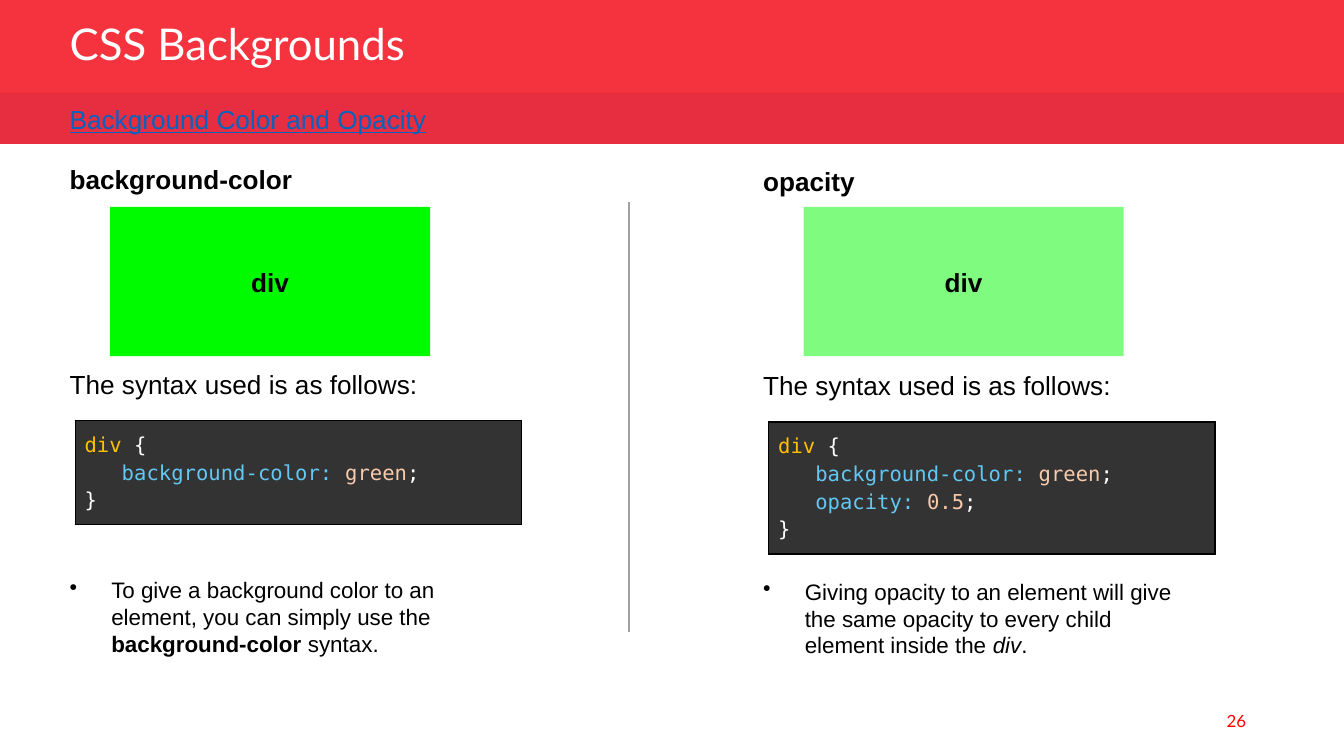
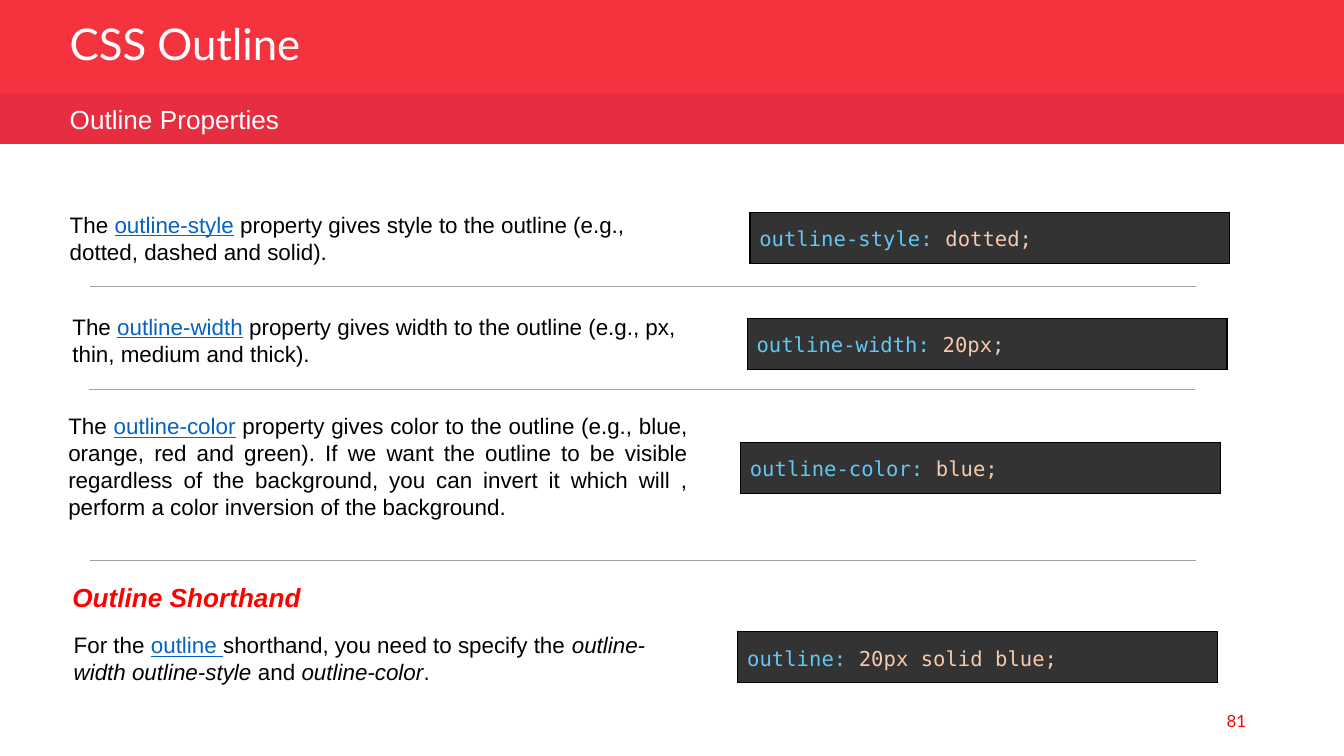
import dataclasses

import pptx
import pptx.dml.color
import pptx.enum.shapes
import pptx.enum.text
import pptx.oxml
import pptx.oxml.ns
import pptx.util
from pptx.util import Inches

ALIGN = pptx.enum.text.PP_ALIGN
ANCHOR = pptx.enum.text.MSO_ANCHOR
qn = pptx.oxml.ns.qn


@dataclasses.dataclass(frozen=True)
class Theme:
    band: str = "F5333F"
    subband: str = "E72D40"
    white: str = "FFFFFF"
    black: str = "000000"
    accent: str = "FF0000"
    link: str = "0563C1"
    rule: str = "A1A1A1"
    green: str = "00FA00"
    code_fill: str = "333333"
    selector: str = "FFC000"
    prop: str = "62C8F3"
    value: str = "F7CAAC"
    body_font: str = "Arial"
    title_font: str = "Lato"
    code_font: str = "DejaVu Sans Mono"
    title_size: float = 23.4
    heading_size: float = 14
    body_size: float = 12
    code_size: float = 11
    number_size: float = 9
    line_width: float = 0.75


T = Theme()

STYLES = {
    "link": {"color": T.link, "underline": True},
    "bold": {"bold": True},
    "italic": {"italic": True},
    "selector": {"color": T.selector},
    "prop": {"color": T.prop},
    "value": {"color": T.value},
}

OPEN = [("div", "selector"), " { "]
GREEN = [("   background-color: ", "prop"), ("green", "value"), ";"]
HALF = [("   opacity: ", "prop"), ("0.5", "value"), ";"]
CLOSE = ["}"]

BACKGROUNDS = [
    {"heading": "background-color", "heading_width": 2.2, "syntax_width": 3.26,
     "alpha": None, "code": [OPEN, GREEN, CLOSE], "code_height": 0.76,
     "note": ["To give a background color to an element, you can simply use the ",
              ("background-color ", "bold"), "syntax."]},
    {"heading": "opacity", "heading_width": 0.92, "syntax_width": 3.47,
     "alpha": 50, "code": [OPEN, GREEN, HALF, CLOSE], "code_height": 0.97,
     "note": ["Giving opacity to an element will give the same opacity to every "
              "child element inside the ", ("div", "italic"), "."]},
]

OUTLINES = [
    {"text": ["The ", ("outline-style", "link"),
              " property gives style to the outline (e.g., dotted, dashed and solid)."],
     "text_at": (0.42, 1.52), "height": 0.5, "align": ALIGN.LEFT,
     "code": ("outline-style: ", "dotted;"), "code_at": (5.58, 1.58)},
    {"text": ["The ", ("outline-width", "link"),
              " property gives width to the outline (e.g., px, thin, medium and thick)."],
     "text_at": (0.44, 2.28), "height": 0.5, "align": ALIGN.LEFT,
     "code": ("outline-width: ", "20px;"), "code_at": (5.56, 2.37)},
    {"text": ["The ", ("outline-color", "link"),
              " property gives color to the outline (e.g., blue, orange, red and green). "
              "If we want the outline to be visible regardless of the background, you can "
              "invert it which will , perform a color inversion of the background."],
     "text_at": (0.41, 3.02), "height": 0.91, "align": ALIGN.JUSTIFY,
     "code": ("outline-color: ", "blue;"), "code_at": (5.51, 3.29)},
    {"text": ["For the ", ("outline ", "link"), "shorthand, you need to specify the ",
              ("outline-width outline-style ", "italic"), "and ",
              ("outline-color", "italic"), "."],
     "text_at": (0.45, 4.65), "height": 0.5, "align": ALIGN.LEFT,
     "code": ("outline: ", "20px solid blue;"), "code_at": (5.49, 4.7)},
]
OUTLINE_RULES = [(0.67, 2.13), (0.66, 2.9), (0.67, 4.17)]


def rgb(color):
    return pptx.dml.color.RGBColor.from_string(color)


def write(tf, paragraphs, size=T.body_size, font=T.body_font, color=T.black, bold=False,
          italic=False, align=ALIGN.LEFT, spacing=None, bullet=False):
    base = {"color": color, "bold": bold, "italic": italic, "underline": False}
    for i, runs in enumerate(paragraphs):
        p = tf.paragraphs[0] if i == 0 else tf.add_paragraph()
        p.alignment = align
        if spacing:
            p.line_spacing = spacing
        if bullet:
            add_bullet(p)
        for run in runs:
            text, style = (run, {}) if isinstance(run, str) else (run[0], STYLES[run[1]])
            look = {**base, **style}
            r = p.add_run()
            r.text = text
            r.font.size = pptx.util.Pt(size)
            r.font.name = font
            r.font.color.rgb = rgb(look["color"])
            r.font.bold = look["bold"]
            r.font.italic = look["italic"]
            r.font.underline = look["underline"]


def add_bullet(p):
    pPr = p._p.get_or_add_pPr()
    pPr.set("marL", str(Inches(0.31)))
    pPr.set("indent", str(-Inches(0.31)))
    clr = pPr.makeelement(qn("a:buClr"), {})
    clr.append(clr.makeelement(qn("a:srgbClr"), {"val": T.black}))
    pPr.append(clr)
    pPr.append(pPr.makeelement(qn("a:buChar"), {"char": "•"}))


def add_text(s, x, y, w, h, runs, anchor=ANCHOR.TOP, **fmt):
    tf = s.shapes.add_textbox(Inches(x), Inches(y), Inches(w), Inches(h)).text_frame
    tf.word_wrap = True
    tf.vertical_anchor = anchor
    if anchor == ANCHOR.TOP:
        tf.auto_size = pptx.enum.text.MSO_AUTO_SIZE.SHAPE_TO_FIT_TEXT
    write(tf, [runs], **fmt)


def add_rect(s, x, y, w, h, fill, alpha=None):
    sp = s.shapes.add_shape(pptx.enum.shapes.MSO_SHAPE.RECTANGLE,
                            Inches(x), Inches(y), Inches(w), Inches(h))
    sp.shadow.inherit = False
    sp.fill.solid()
    sp.fill.fore_color.rgb = rgb(fill)
    sp.line.fill.background()
    if alpha is not None:
        clr = sp._element.spPr.find(".//" + qn("a:srgbClr"))
        clr.append(clr.makeelement(qn("a:alpha"), {"val": str(alpha * 1000)}))
    return sp


def add_rule(s, x1, y1, x2, y2):
    line = s.shapes.add_connector(pptx.enum.shapes.MSO_CONNECTOR.STRAIGHT,
                                  Inches(x1), Inches(y1), Inches(x2), Inches(y2))
    line.line.color.rgb = rgb(T.rule)
    line.line.width = pptx.util.Pt(T.line_width)
    spPr = line._element.spPr
    spPr.append(spPr.makeelement(qn("a:effectLst"), {}))


def add_code(s, x, y, w, h, lines, anchor=ANCHOR.TOP):
    table = s.shapes.add_table(1, 1, Inches(x), Inches(y), Inches(w), Inches(h)).table
    table.first_row = table.horz_banding = False
    cell = table.cell(0, 0)
    cell.margin_left = cell.margin_right = Inches(0.07)
    cell.margin_top = cell.margin_bottom = Inches(0.07)
    cell.vertical_anchor = anchor
    tcPr = cell._tc.get_or_add_tcPr()
    for side in ("lnL", "lnR", "lnT", "lnB"):
        ln = tcPr.makeelement(qn("a:" + side), {"w": str(pptx.util.Pt(T.line_width))})
        fill = ln.makeelement(qn("a:solidFill"), {})
        fill.append(fill.makeelement(qn("a:srgbClr"), {"val": T.black}))
        ln.append(fill)
        tcPr.append(ln)
    cell.fill.solid()
    cell.fill.fore_color.rgb = rgb(T.code_fill)
    write(cell.text_frame, lines, size=T.code_size, font=T.code_font, color=T.white,
          spacing=1.15)


def add_slide(prs, title, subtitle, number):
    s = prs.slides.add_slide(prs.slide_layouts[6])
    add_rect(s, 0, 0, 10, 0.7, T.band)
    add_rect(s, 0, 0.69, 10, 0.38, T.subband)
    add_text(s, 0.42, 0.14, 4.69, 0.44, [title], anchor=ANCHOR.MIDDLE, size=T.title_size,
             font=T.title_font, color=T.white, spacing=0.8)
    add_text(s, 0.42, 0.72, 5.09, 0.34, [subtitle], size=T.heading_size, color=T.white)
    add_text(s, 7.12, 5.21, 2.25, 0.3, [str(number)], anchor=ANCHOR.MIDDLE,
             size=T.number_size, font=T.title_font, color=T.accent, align=ALIGN.RIGHT)
    return s


def build_backgrounds(prs):
    s = add_slide(prs, "CSS Backgrounds", ("Background Color and Opacity", "link"), 26)
    for i, col in enumerate(BACKGROUNDS):
        x, dy = 0.42 + 5.16 * i, 0.01 * i
        add_text(s, x, 1.17 + dy, col["heading_width"], 0.34, [col["heading"]],
                 size=T.heading_size, bold=True)
        box = add_rect(s, x + 0.4, 1.54, 2.38, 1.11, T.green, col["alpha"])
        box.text_frame.vertical_anchor = ANCHOR.MIDDLE
        write(box.text_frame, [["div"]], size=T.heading_size, bold=True, align=ALIGN.CENTER)
        add_text(s, x, 2.69 + dy, col["syntax_width"], 0.34,
                 ["The syntax used is as follows:"], size=T.heading_size)
        add_code(s, x + 0.14, 3.13 + dy, 3.32, col["code_height"], col["code"])
        add_text(s, x, 4.24 + dy, 3.4, 0.71, col["note"], bullet=True)
    add_rule(s, 4.68, 1.5, 4.68, 4.7)


def build_outline(prs):
    s = add_slide(prs, "CSS Outline", "Outline Properties", 81)
    for row in OUTLINES:
        add_text(s, *row["text_at"], 4.81, row["height"], row["text"], align=row["align"])
        prop, value = row["code"]
        add_code(s, *row["code_at"], 3.57, 0.38, [[(prop, "prop"), (value, "value")]],
                 anchor=ANCHOR.MIDDLE)
    for x, y in OUTLINE_RULES:
        add_rule(s, x, y, x + 8.23, y)
    add_text(s, 0.44, 4.28, 2.25, 0.34, ["Outline Shorthand"], size=T.heading_size,
             color=T.accent, bold=True, italic=True)


def main():
    prs = pptx.Presentation()
    prs.slide_width = Inches(10)
    prs.slide_height = prs.slide_width * 9 // 16
    build_backgrounds(prs)
    build_outline(prs)
    prs.save("out.pptx")


if __name__ == "__main__":
    main()
